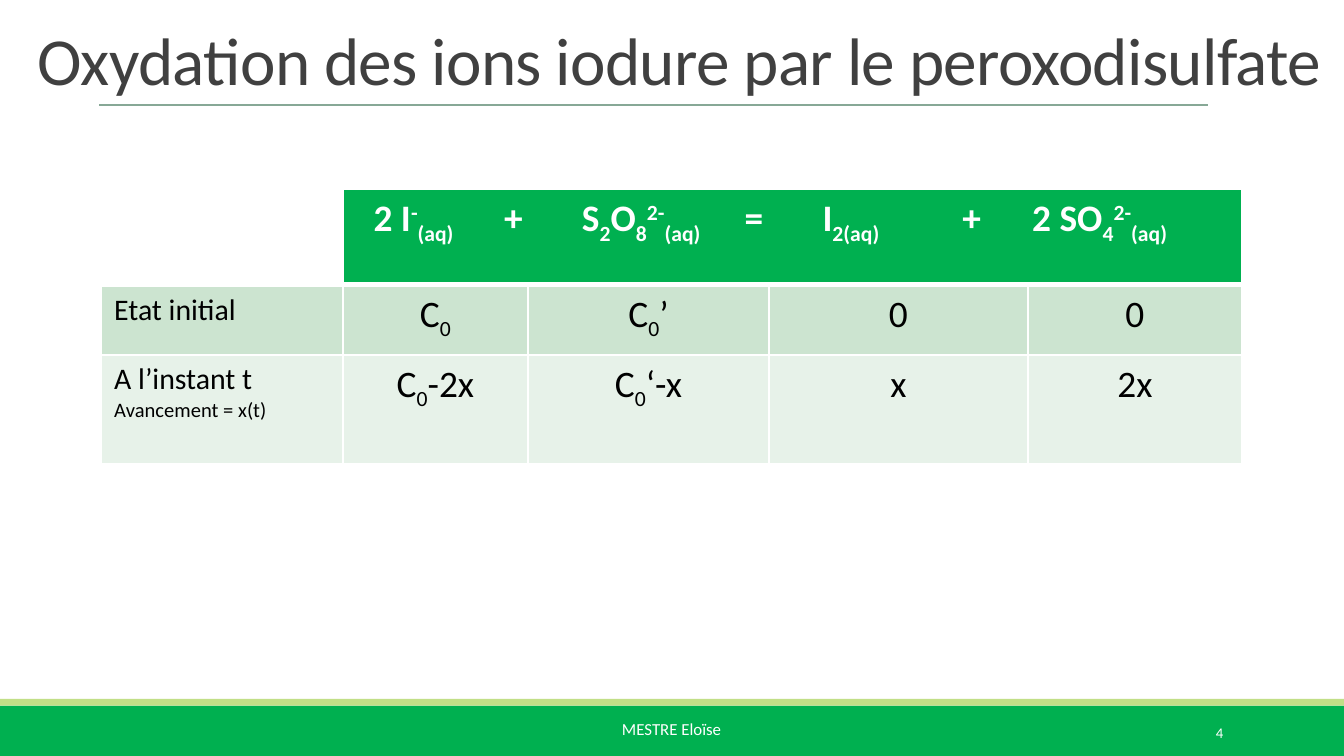
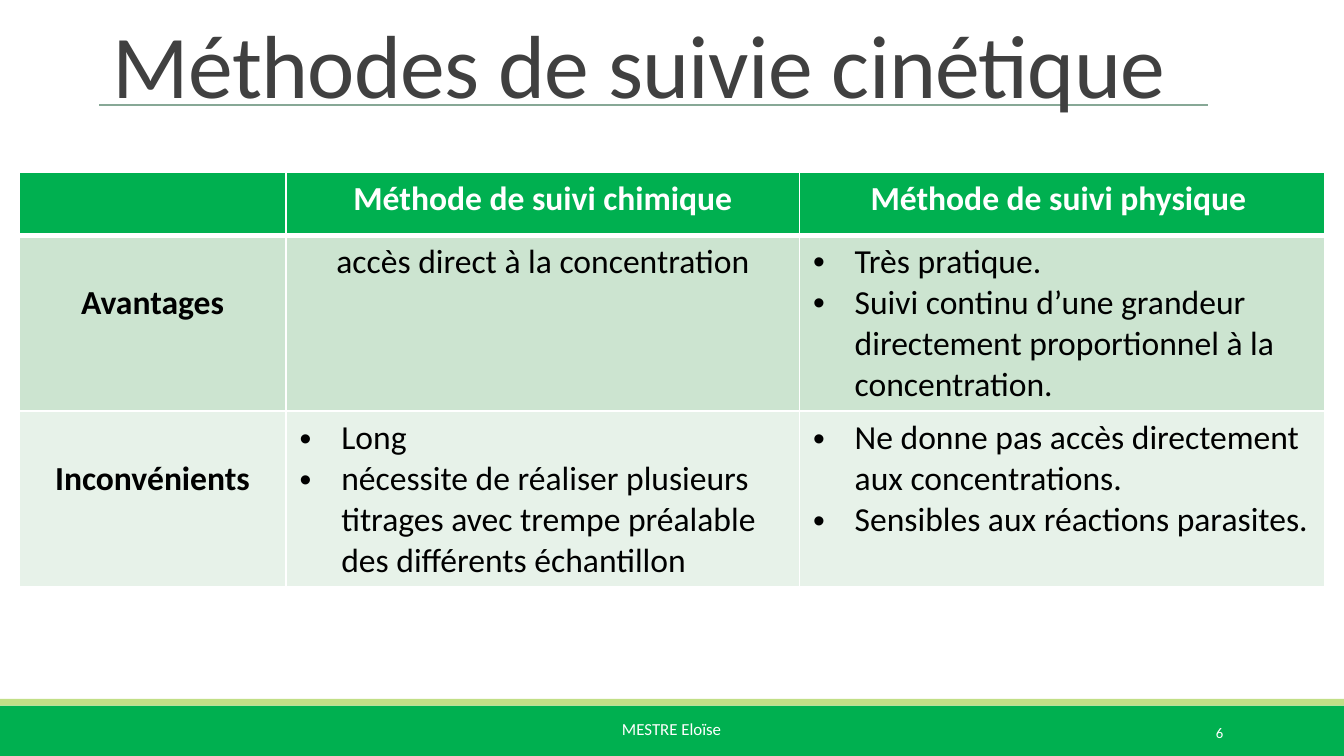
from dataclasses import dataclass, field

from lxml.etree import SubElement
from pptx import Presentation
from pptx.dml.color import RGBColor
from pptx.enum.shapes import MSO_CONNECTOR, MSO_SHAPE
from pptx.enum.text import MSO_ANCHOR, PP_ALIGN
from pptx.oxml import parse_xml
from pptx.oxml.ns import nsdecls, qn
from pptx.slide import Slide
from pptx.table import _Cell
from pptx.util import Inches, Pt

GREEN = RGBColor(0x00, 0xB0, 0x50)
LIME = RGBColor(0xC1, 0xDF, 0x87)
RULE = RGBColor(0x87, 0xA8, 0x96)
TITLE = RGBColor(0x40, 0x40, 0x40)
BAND_DARK = RGBColor(0xCC, 0xE4, 0xD0)
BAND_LIGHT = RGBColor(0xE7, 0xF2, 0xE9)
WHITE = RGBColor(0xFF, 0xFF, 0xFF)
BLACK = RGBColor(0x00, 0x00, 0x00)
FONT = "Calibri"
AUTHOR = "MESTRE Eloïse"
BASELINES = {"_": "-25000", "^": "30000"}
BULLET_INDENT = 0.31


@dataclass
class Para:
    """A paragraph; '|' parts its runs, a leading _ or ^ lowers or raises one."""
    text: str
    size: float = 18
    bold: bool = False
    color: RGBColor = BLACK
    align: PP_ALIGN = PP_ALIGN.LEFT
    bullet: bool = False
    tabs: tuple[float, ...] = ()


@dataclass
class CellSpec:
    """The paragraphs of a cell and its fill and insets."""
    paras: list[Para] = field(default_factory=list)
    fill: RGBColor = GREEN
    left: float = 0.1
    top: float = 0.05


@dataclass
class TableSpec:
    """A table with its place, column widths, row heights and cells."""
    left: float
    top: float
    cols: list[float]
    rows: list[float]
    cells: list[list[CellSpec]]


def write(p, para: Para) -> None:
    """Fill a paragraph with formatted runs."""
    p.alignment = para.align
    p.font.name, p.font.size, p.font.bold = FONT, Pt(para.size), para.bold
    p.font.color.rgb = para.color
    for part in para.text.split("|"):
        base = BASELINES.get(part[:1])
        r = p.add_run()
        r.text = part[1:] if base else part
        if base:
            r.font._element.set("baseline", base)
    pPr = p._p.get_or_add_pPr()
    marks = []
    if para.bullet:
        pPr.set("marL", str(Inches(BULLET_INDENT)))
        pPr.set("indent", str(-Inches(BULLET_INDENT)))
        marks.append(parse_xml(f'<a:buFont {nsdecls("a")} typeface="Arial"/>'))
        marks.append(parse_xml(f'<a:buChar {nsdecls("a")} char="•"/>'))
    if para.tabs:
        tab_list = parse_xml(f'<a:tabLst {nsdecls("a")}/>')
        for pos in para.tabs:
            SubElement(tab_list, qn("a:tab"), pos=str(Inches(pos)), algn="l")
        marks.append(tab_list)
    defaults = pPr.find(qn("a:defRPr"))
    for mark in marks:
        defaults.addprevious(mark)


def add_text(s: Slide, box: tuple[float, float, float, float], para: Para,
             anchor: MSO_ANCHOR = MSO_ANCHOR.TOP, wrap: bool = True):
    """Add a one-paragraph text box and return its paragraph."""
    tf = s.shapes.add_textbox(*map(Inches, box)).text_frame
    tf.word_wrap, tf.vertical_anchor = wrap, anchor
    write(tf.paragraphs[0], para)
    return tf.paragraphs[0]


def add_band(s: Slide, top: float, height: float, color: RGBColor) -> None:
    """Add a plain band across the slide."""
    sp = s.shapes.add_shape(MSO_SHAPE.RECTANGLE, 0, Inches(top), Inches(10), Inches(height))
    sp.shadow.inherit = False
    sp.fill.solid()
    sp.fill.fore_color.rgb = color
    sp.line.fill.background()


def add_base(prs, number: int, title: str, size: float,
             box: tuple[float, float, float, float]) -> Slide:
    """Add a slide with bands, title rule, footer and title."""
    s = prs.slides.add_slide(prs.slide_layouts[6])
    add_band(s, 5.25, 0.38, GREEN)
    add_band(s, 5.2, 0.05, LIME)
    rule = s.shapes.add_connector(MSO_CONNECTOR.STRAIGHT, Inches(0.74), Inches(0.78),
                                  Inches(8.99), Inches(0.78))
    rule.line.color.rgb, rule.line.width = RULE, Pt(1)
    SubElement(rule._element.spPr, qn("a:effectLst"))
    add_text(s, (4.53, 5.3, 0.94, 0.45), Para(AUTHOR, 9, color=WHITE), wrap=False)
    add_text(s, (8.12, 5.3, 1.08, 0.3),
             Para(str(number), 7.9, color=WHITE, align=PP_ALIGN.RIGHT), MSO_ANCHOR.MIDDLE)
    p = add_text(s, box, Para(title, size, color=TITLE), MSO_ANCHOR.BOTTOM)
    p.line_spacing = 0.85
    for r in p.runs:
        r.font._element.set("spc", "-38")
    return s


def set_borders(cell: _Cell, row: int) -> None:
    """Give a cell white borders, thick between header and body."""
    widths = {"L": 1, "R": 1, "T": 3 if row == 1 else 1, "B": 3 if row == 0 else 1}
    tcPr = cell._tc.get_or_add_tcPr()
    for i, (side, width) in enumerate(widths.items()):
        tcPr.insert(i, parse_xml(
            f'<a:ln{side} {nsdecls("a")} w="{Pt(width)}"><a:solidFill>'
            f'<a:srgbClr val="{WHITE}"/></a:solidFill></a:ln{side}>'))


def fill_cell(cell: _Cell, content: CellSpec) -> None:
    """Apply fill, insets and text to a cell."""
    cell.fill.solid()
    cell.fill.fore_color.rgb = content.fill
    cell.margin_left, cell.margin_top = Inches(content.left), Inches(content.top)
    tf = cell.text_frame
    for i, para in enumerate(content.paras):
        write(tf.add_paragraph() if i else tf.paragraphs[0], para)


def add_grid(s: Slide, t: TableSpec) -> None:
    """Draw a table; a header shorter than the columns spans the rest."""
    frame = s.shapes.add_table(len(t.rows), len(t.cols), Inches(t.left), Inches(t.top),
                               Inches(sum(t.cols)), Inches(sum(t.rows)))
    table = frame.table
    table.horz_banding = False
    for column, width in zip(table.columns, t.cols):
        column.width = Inches(width)
    for row, height in zip(table.rows, t.rows):
        row.height = Inches(height)
    for i, contents in enumerate(t.cells):
        for j in range(len(t.cols)):
            set_borders(table.cell(i, j), i)
        for j, content in enumerate(contents):
            fill_cell(table.cell(i, j), content)
        if len(contents) < len(t.cols):
            table.cell(i, len(contents) - 1).merge(table.cell(i, len(t.cols) - 1))


def centred(text: str, fill: RGBColor, size: float = 18, bold: bool = False,
            color: RGBColor = BLACK, top: float = 0.05) -> CellSpec:
    """Describe a cell with one centred paragraph."""
    return CellSpec([Para(text, size, bold, color, PP_ALIGN.CENTER)], fill, top=top)


def header(text: str) -> CellSpec:
    """Describe a column heading."""
    return centred(text, GREEN, bold=True, color=WHITE)


def row_label(text: str, fill: RGBColor) -> CellSpec:
    """Describe a bold row label, set one line down."""
    return centred(text, fill, bold=True, top=0.35)


def bullets(fill: RGBColor, *texts: str) -> CellSpec:
    """Describe a cell with a bulleted list."""
    return CellSpec([Para(text, bullet=True) for text in texts], fill)


def quantities(fill: RGBColor, *texts: str) -> list[CellSpec]:
    """Describe the amounts of one row of the progress table."""
    return [centred(text, fill, 20) for text in texts]


EQUATION = Para(
    "2 I|^-|_(aq)|\t+\tS|_2|O|_8|^2-|_(aq)|\t=\tI|_2(aq)|\t+\t2 SO|_4|^2-|_(aq)",
    20, True, WHITE, tabs=(0.97, 1.55, 2.76, 3.34, 4.38, 4.9))

PROGRESS = TableSpec(0.75, 1.41, [1.8, 1.38, 1.79, 1.93, 1.59], [0.71, 0.52, 0.81], [
    [CellSpec(fill=WHITE), CellSpec([EQUATION], left=0.23)],
    [CellSpec([Para("Etat initial", 16)], BAND_DARK),
     *quantities(BAND_DARK, "C|_0", "C|_0|’", "0", "0")],
    [CellSpec([Para("A l’instant t", 16), Para("Avancement = x(t)", 11)], BAND_LIGHT),
     *quantities(BAND_LIGHT, "C|_0|-2x", "C|_0|‘-x", "x", "2x")],
])

METHODS = TableSpec(0.14, 1.28, [1.99, 3.82, 3.91], [0.47, 1.31, 1.31], [
    [CellSpec(), header("Méthode de suivi chimique"), header("Méthode de suivi physique ")],
    [row_label("Avantages", BAND_DARK),
     centred("accès direct à la concentration", BAND_DARK),
     bullets(BAND_DARK, "Très pratique.",
             "Suivi continu d’une grandeur directement proportionnel à la concentration.")],
    [row_label("Inconvénients", BAND_LIGHT),
     bullets(BAND_LIGHT, "Long", "nécessite de réaliser plusieurs titrages avec trempe "
             "préalable des différents échantillon"),
     bullets(BAND_LIGHT, "Ne donne pas accès directement aux concentrations.",
             "Sensibles aux réactions parasites.")],
])


def main() -> None:
    """Build and save both slides."""
    prs = Presentation()
    prs.slide_width = Inches(10)
    prs.slide_height = Inches(10) * 9 // 16
    s = add_base(prs, 4, "Oxydation des ions iodure par le peroxodisulfate", 36,
                 (0.18, 0.03, 10.35, 0.76))
    add_grid(s, PROGRESS)
    s = add_base(prs, 6, "Méthodes de suivie cinétique", 48, (0.74, 0.16, 8.25, 0.76))
    add_grid(s, METHODS)
    prs.save("out.pptx")


main()
